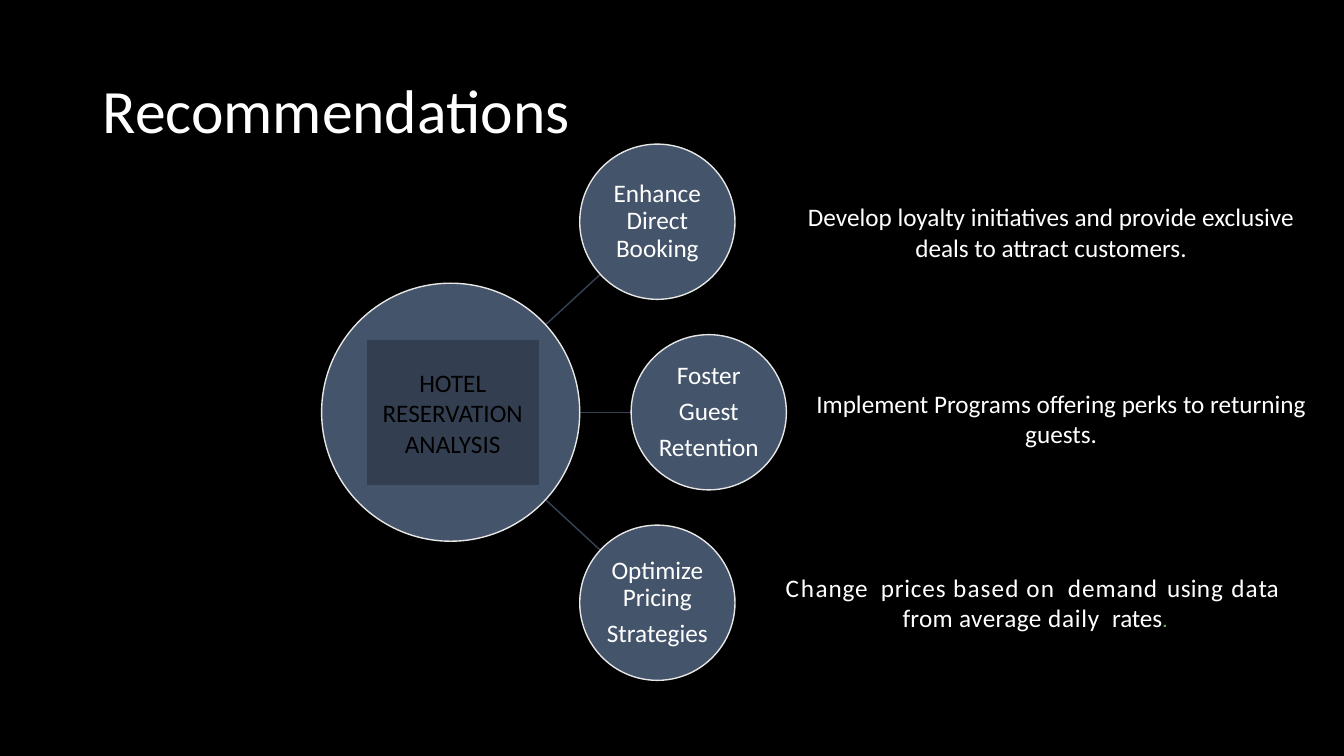
from math import hypot

from pptx import Presentation
from pptx.dml.color import RGBColor
from pptx.enum.shapes import MSO_CONNECTOR, MSO_SHAPE
from pptx.enum.text import MSO_ANCHOR, PP_ALIGN
from pptx.oxml.ns import qn
from pptx.util import Inches, Pt

STRAIGHT = MSO_CONNECTOR.STRAIGHT
OVAL, RECTANGLE = MSO_SHAPE.OVAL, MSO_SHAPE.RECTANGLE
MIDDLE, CENTER = MSO_ANCHOR.MIDDLE, PP_ALIGN.CENTER
BLACK, WHITE, SLATE = "000000", "FFFFFF", "44546A"
BREAK = "\n"


def color(value):
    return RGBColor.from_string(value)


def add_block(kind, box, fill, line, paragraphs, ink=WHITE, inset=0.1, leading=1.0, after=0):
    block = slide.shapes.add_shape(kind, *[Inches(length) for length in box])
    block.shadow.inherit = False
    block.fill.solid()
    block.fill.fore_color.rgb = color(fill)
    block.line.color.rgb = color(line)
    block.line.width = Pt(1)
    frame = block.text_frame
    frame.word_wrap = True
    frame.vertical_anchor = MIDDLE
    frame.margin_left = frame.margin_right = Inches(inset)
    frame.margin_top = frame.margin_bottom = Inches(min(inset, 0.05))
    for index, runs in enumerate(paragraphs):
        paragraph = frame.paragraphs[0] if index == 0 else frame.add_paragraph()
        paragraph.alignment = CENTER
        paragraph.line_spacing = leading
        paragraph.space_after = Pt(after)
        for words, spacing, font, tint in runs:
            if words == BREAK:
                paragraph.add_line_break()
                continue
            run = paragraph.add_run()
            run.text = words
            run.font.size = Pt(18)
            run.font.name = font
            run.font.color.rgb = color(tint or ink)
            if spacing:
                run.font._element.set("spc", str(round(spacing * 100)))


def plain(*lines):
    return [[(line, 0, "Calibri", None)] for line in lines]


deck = Presentation()
deck.slide_width, deck.slide_height = Inches(13.33), Inches(7.5)
slide = deck.slides.add_slide(deck.slide_layouts[6])
slide.background.fill.solid()
slide.background.fill.fore_color.rgb = color(BLACK)

title = slide.shapes.add_textbox(Inches(0.92), Inches(0.4), Inches(11.5), Inches(1.45)).text_frame
title.word_wrap = True
title.vertical_anchor = MIDDLE
title.paragraphs[0].line_spacing = 0.9
heading = title.paragraphs[0].add_run()
heading.text = "Recommendations"
heading.font.size = Pt(44)
heading.font.name = "Calibri"
heading.font.color.rgb = color(WHITE)

pricing_runs = [
    ("C", 1.3), ("h", 1.1), ("ange", 0.6), (" ", 4.7), ("prices ", 0.6), ("based on", 0.8),
    (" ", 4.9), ("dema", 0.7), ("n", 0.6), ("d ", 1.5), ("u", 0.3), ("s", 0.2), ("i", 0.1),
    ("n", 0.8), ("g ", 0.9), ("d", 0.8), ("a", 0.7), ("ta ", -0.1), (BREAK, 0),
    ("from ", 0.2), ("average ", 0.3), ("daily", 0.5), (" ", 4.6), ("rates", -0.1),
]
pricing_advice = [[(words, spacing, "Calibri", None) for words, spacing in pricing_runs]
                  + [(".", -0.1, "Cabin", "70AD47")]]

hub_x, hub_y, hub_radius = 4.47, 4.09, 1.28
topic_radius, row_pitch = 0.77, 1.89
spoke_start = 0.9
topics = [
    (6.52, ["Enhance Direct Booking"], (7.74, 1.63, 5.37, 1.34),
     plain("Develop loyalty initiatives and provide exclusive deals to attract customers.")),
    (7.03, ["Foster", "Guest", "Retention"], (7.98, 3.48, 5.09, 1.34),
     plain("Implement Programs offering perks to returning guests.")),
    (6.52, ["Optimize Pricing", "Strategies"], (7.46, 5.31, 5.61, 1.34), pricing_advice),
]

for row, (topic_x, label, advice_box, advice) in enumerate(topics):
    across, down = topic_x - hub_x, (row - 1) * row_pitch
    first = spoke_start / across
    last = 1 - topic_radius / hypot(across, down)
    spoke = slide.shapes.add_connector(
        STRAIGHT,
        Inches(hub_x + across * first), Inches(hub_y + down * first),
        Inches(hub_x + across * last), Inches(hub_y + down * last))
    spoke.line.color.rgb = color("364355")
    spoke.line.width = Pt(1)
    properties = spoke._element.spPr
    properties.append(properties.makeelement(qn("a:effectLst"), {}))

add_block(OVAL, (hub_x - hub_radius, hub_y - hub_radius, 2 * hub_radius, 2 * hub_radius),
          SLATE, "E7E6E6", [])

for row, (topic_x, label, advice_box, advice) in enumerate(topics):
    topic_y = hub_y + (row - 1) * row_pitch
    add_block(OVAL, (topic_x - topic_radius, topic_y - topic_radius, 2 * topic_radius, 2 * topic_radius),
              SLATE, "E7E6E6", plain(*label), inset=0.01, leading=0.9, after=6.3)
    add_block(RECTANGLE, advice_box, BLACK, BLACK, advice)

add_block(RECTANGLE, (3.63, 3.37, 1.72, 1.45), "333F50", SLATE,
          plain("HOTEL RESERVATION", "ANALYSIS"), ink=BLACK)

deck.save("out.pptx")
